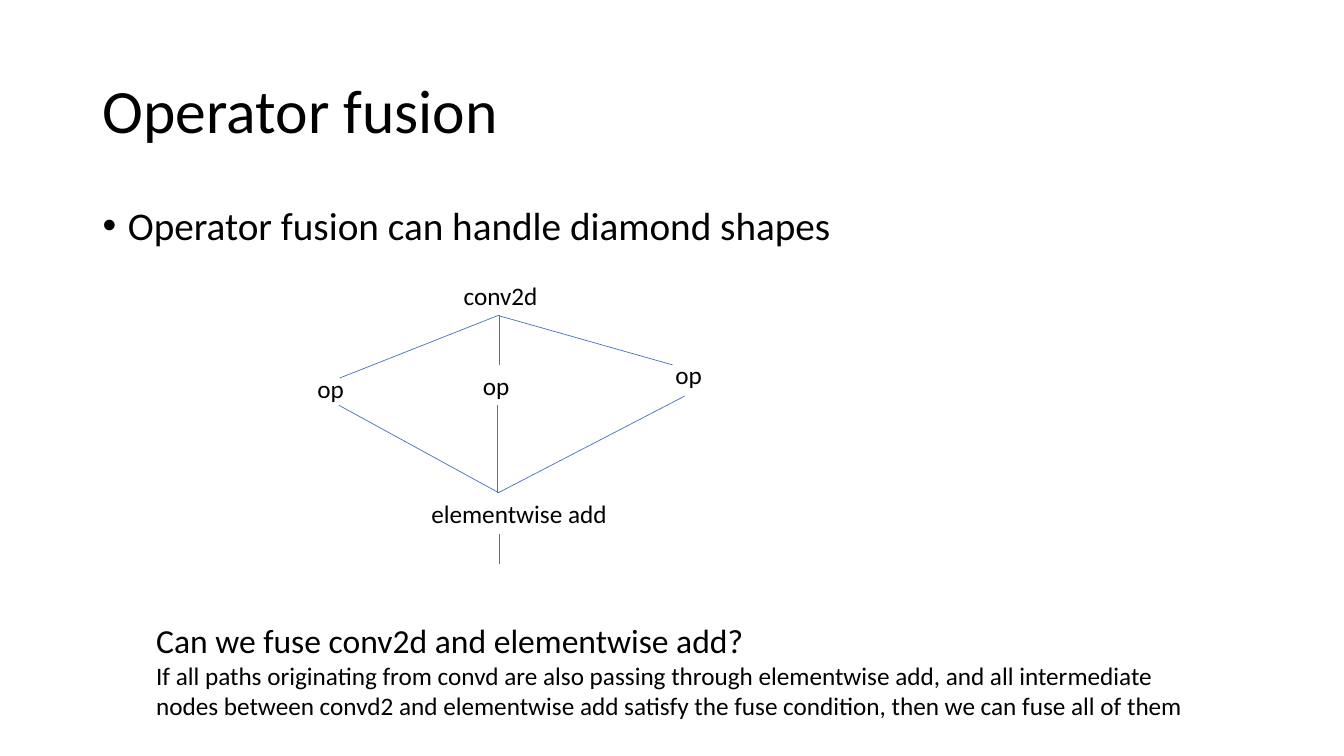
from lxml.etree import SubElement
from pptx import Presentation
from pptx.dml.color import RGBColor
from pptx.enum.shapes import MSO_CONNECTOR
from pptx.enum.text import MSO_ANCHOR
from pptx.oxml.ns import qn
from pptx.util import Inches, Pt

COLORS = {"text": "000000", "edge": "4472C4"}
FONT = "Calibri"


def add_text(page, left, top, width, height, lines, anchor=MSO_ANCHOR.TOP):
    """Add a wrapped text box from (text, size) lines and return its frame."""
    box = page.shapes.add_textbox(
        Inches(left), Inches(top), Inches(width), Inches(height))
    frame = box.text_frame
    frame.word_wrap = True
    frame.vertical_anchor = anchor
    for index, (text, size) in enumerate(lines):
        para = frame.add_paragraph() if index else frame.paragraphs[0]
        span = para.add_run()
        span.text = text
        span.font.size = Pt(size)
        span.font.name = FONT
        span.font.color.rgb = RGBColor.from_string(COLORS["text"])
    return frame


def add_title(page, left, top, width, height):
    """Place the slide title, centred vertically in its box."""
    frame = add_text(page, left, top, width, height,
                     [("Operator fusion", 44)], MSO_ANCHOR.MIDDLE)
    frame.paragraphs[0].line_spacing = 0.9


def add_body(page, left, top, width, height):
    """Place the bulleted statement."""
    frame = add_text(page, left, top, width, height,
                     [("Operator fusion can handle diamond shapes", 28)])
    para = frame.paragraphs[0]
    para.line_spacing = 0.9
    properties = para._p.get_or_add_pPr()
    properties.set("marL", str(Inches(0.25)))
    properties.set("indent", str(-Inches(0.25)))
    SubElement(properties, qn("a:buFont"), typeface="Arial")
    SubElement(properties, qn("a:buChar"), char="•")


def add_edge(page, start_x, start_y, end_x, end_y):
    """Draw one thin line of the graph."""
    edge = page.shapes.add_connector(
        MSO_CONNECTOR.STRAIGHT,
        Inches(start_x), Inches(start_y), Inches(end_x), Inches(end_y))
    edge.line.color.rgb = RGBColor.from_string(COLORS["edge"])
    edge.line.width = Pt(0.5)
    SubElement(edge._element.spPr, qn("a:effectLst"))


def add_diamond(page, left, top):
    """Draw the operator graph from its left and top edges."""
    nodes = [
        ("conv2d", 1.45, 0, 2.5),
        ("op", 0, 0.92, 0.99),
        ("op", 1.64, 0.89, 0.99),
        ("op", 3.55, 0.79, 0.99),
        ("elementwise add", 1.13, 2.16, 2.33),
    ]
    for label, x, y, width in nodes:
        add_text(page, left + x, top + y, width, 0.4, [(label, 18)])

    edges = [
        (1.89, 0.4, 0.32, 1.02),
        (1.9, 0.4, 1.9, 0.89),
        (1.89, 0.4, 3.62, 0.89),
        (0.31, 1.29, 1.9, 2.16),
        (1.88, 1.29, 1.88, 2.16),
        (3.74, 1.2, 1.89, 2.16),
        (1.9, 2.57, 1.9, 2.87),
    ]
    for start_x, start_y, end_x, end_y in edges:
        add_edge(page, left + start_x, top + start_y, left + end_x, top + end_y)


def add_conclusion(page, left, top, width, height):
    """Place the question and its answer."""
    add_text(page, left, top, width, height, [
        ("Can we fuse conv2d and elementwise add?", 24),
        ("If all paths originating from convd are also passing through "
         "elementwise add, and all intermediate nodes between convd2 and "
         "elementwise add satisfy the fuse condition, then we can fuse all "
         "of them", 18),
    ])


def main():
    """Build and save the slide."""
    deck = Presentation()
    deck.slide_width, deck.slide_height = Inches(13.33), Inches(7.5)
    page = deck.slides.add_slide(deck.slide_layouts[6])
    add_title(page, 0.92, 0.4, 11.5, 1.45)
    add_body(page, 0.92, 2, 11.5, 4.76)
    add_diamond(page, 3.05, 2.73)
    add_conclusion(page, 1.45, 6.1, 10.54, 1.11)
    deck.save("out.pptx")


if __name__ == "__main__":
    main()
